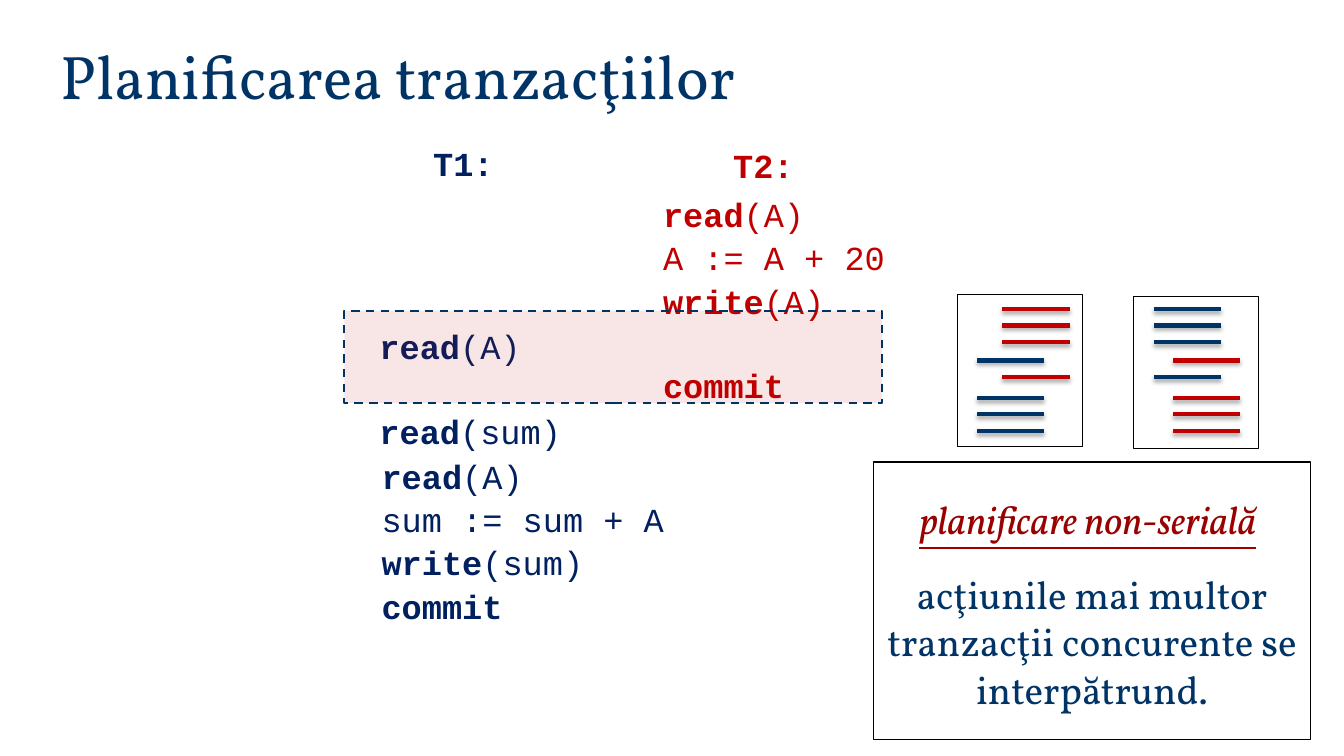
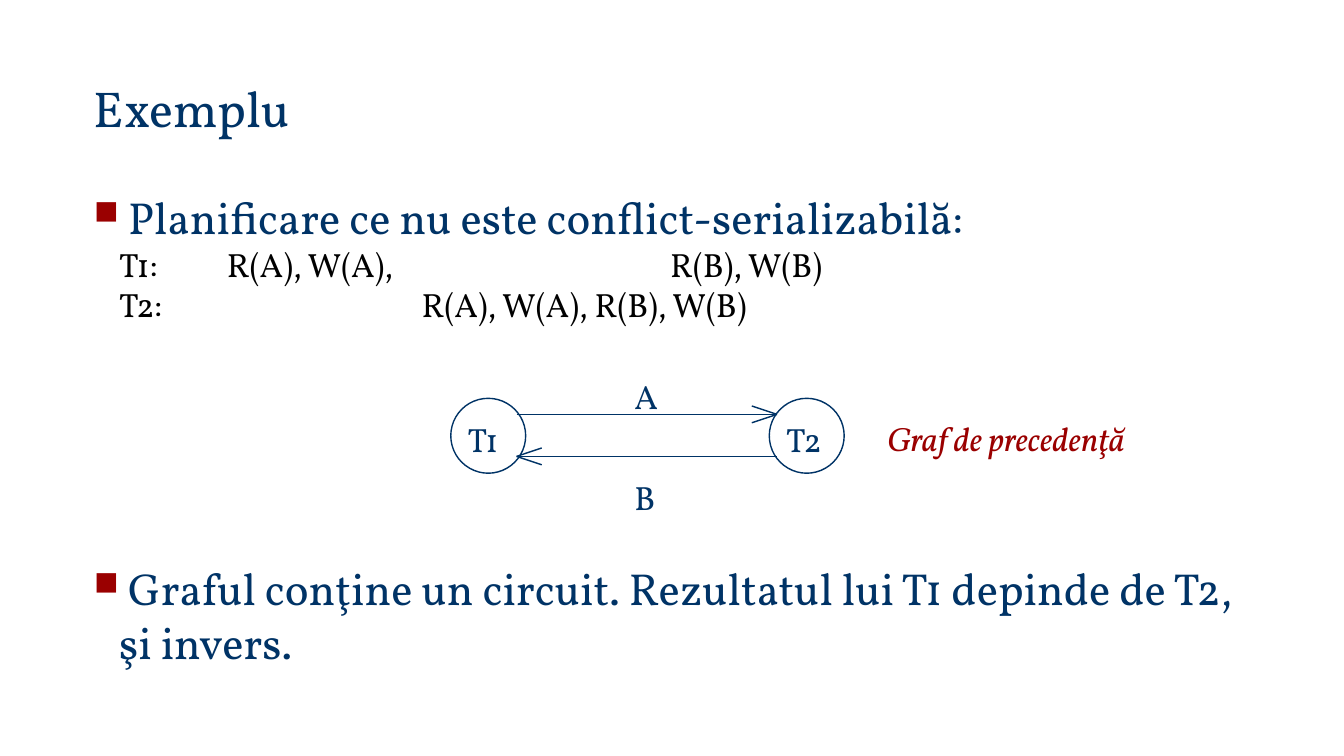
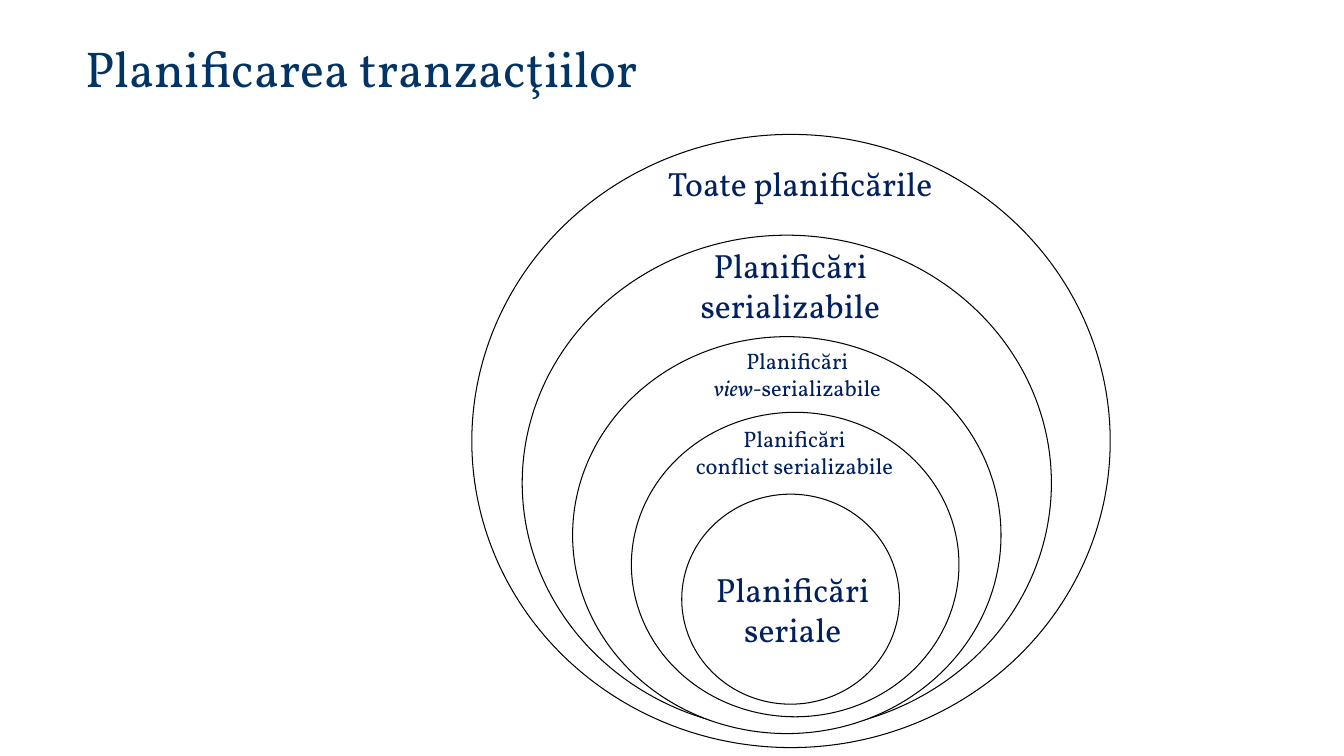
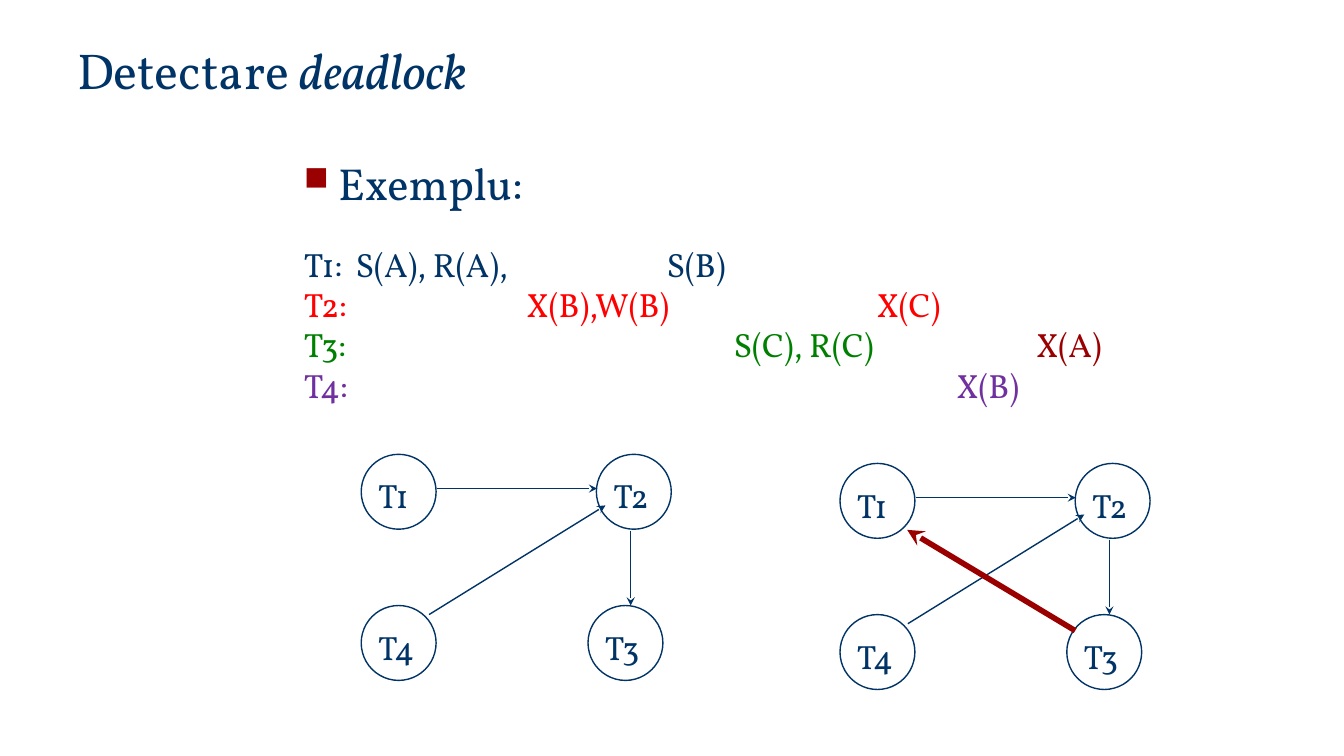
from dataclasses import dataclass
from lxml import etree
from pptx import Presentation
from pptx.dml.color import RGBColor
from pptx.enum import dml, shapes, text
from pptx.oxml import ns
from pptx.util import Pt


@dataclass(frozen=True)
class Theme:
    serif: str = "Vollkorn"
    mono: str = "Courier New"
    blue: str = "003366"
    navy: str = "002060"
    crimson: str = "C00000"
    maroon: str = "9A0000"
    red: str = "FF0000"
    green: str = "008000"
    purple: str = "7030A0"
    black: str = "000000"
    white: str = "FFFFFF"
    big_title: float = 44
    title: float = 36
    body: float = 32
    callout: float = 28
    label: float = 24
    small: float = 16


T = Theme()
CENTER = text.PP_ALIGN.CENTER
RECT = shapes.MSO_SHAPE.RECTANGLE
OVAL = shapes.MSO_SHAPE.OVAL
NODE = 53.5


def rgb(value):
    return RGBColor.from_string(value)


def sub(parent, tag, **attrs):
    return etree.SubElement(parent, ns.qn(tag), {k: str(v) for k, v in attrs.items()})


def add_run(p, value, size=T.label, color=T.blue, font=T.serif,
            bold=None, italic=None, underline=None):
    r = p.add_run()
    r.text = value
    f = r.font
    f.size, f.name, f.color.rgb = Pt(size), font, rgb(color)
    f.bold, f.italic, f.underline = bold, italic, underline


def next_paragraph(tf, align=None, before=0):
    p = tf.paragraphs[0]
    if p.runs:
        p = tf.add_paragraph()
    p.alignment = align
    p.space_before = Pt(before)
    return p


def add_bullet(tf, value, before=0):
    p = next_paragraph(tf, before=before)
    pPr = p._p.get_or_add_pPr()
    pPr.set("marL", str(Pt(18)))
    pPr.set("indent", str(Pt(-18)))
    sub(sub(pPr, "a:buClr"), "a:srgbClr", val=T.maroon)
    sub(pPr, "a:buSzPct", val=75000)
    sub(pPr, "a:buChar", char="■")
    add_run(p, value, T.body)


def add_schedule_row(tf, stops, *runs, before=0):
    p = next_paragraph(tf, before=before)
    tabs = sub(p._p.get_or_add_pPr(), "a:tabLst")
    for stop in stops:
        sub(tabs, "a:tab", pos=Pt(stop), algn="l")
    for value, color in runs:
        add_run(p, value, color=color)


def add_text_box(s, x, y, w, h, wrap=True):
    tf = s.shapes.add_textbox(Pt(x), Pt(y), Pt(w), Pt(h)).text_frame
    tf.word_wrap = wrap
    return tf


def add_label(s, x, y, w, h, *lines, align=None, **style):
    tf = add_text_box(s, x, y, w, h, wrap=False)
    for line in lines:
        add_run(next_paragraph(tf, align), line, **style)
    return tf


def add_title(s, x, y, w, h, *runs, size=T.title):
    tf = add_text_box(s, x, y, w, h)
    tf.vertical_anchor = text.MSO_ANCHOR.BOTTOM
    for value, italic in runs:
        add_run(tf.paragraphs[0], value, size, italic=italic)


def add_outline(s, kind, x, y, w, h, color=T.black, width=0.75, fill=None):
    sp = s.shapes.add_shape(kind, Pt(x), Pt(y), Pt(w), Pt(h))
    sp.shadow.inherit = False
    sp.line.color.rgb = rgb(color)
    sp.line.width = Pt(width)
    if fill:
        sp.fill.solid()
        sp.fill.fore_color.rgb = rgb(fill)
    else:
        sp.fill.background()
    return sp


def add_line(s, start, end, color=T.blue, width=1, arrow=False, shadow=False):
    c = s.shapes.add_connector(shapes.MSO_CONNECTOR.STRAIGHT,
                               *(Pt(v) for v in (*start, *end)))
    c.line.color.rgb = rgb(color)
    c.line.width = Pt(width)
    if arrow:
        sub(c.line._get_or_add_ln(), "a:tailEnd", type="stealth")
    effects = sub(c._element.spPr, "a:effectLst")
    if shadow:
        outer = sub(effects, "a:outerShdw", blurRad=Pt(3.1), dist=Pt(1.8),
                    dir=5400000, rotWithShape=0)
        sub(sub(outer, "a:srgbClr", val=T.black), "a:alpha", val=35000)


def add_code(s, x, y, w, h, color, *lines, align=None):
    tf = add_text_box(s, x, y, w, h)
    for keyword, rest, before in lines:
        p = next_paragraph(tf, align, before)
        if keyword:
            add_run(p, keyword, color=color, font=T.mono, bold=True)
        if rest:
            add_run(p, rest, color=color, font=T.mono)


def add_interleaving(s, x, y, order, lanes):
    add_outline(s, RECT, x, y, 89.5, 109, width=0.5, fill=T.white)
    rows = (221, 232.5, 244.5, 257.5, 269.5, 284.5, 296, 308)
    for who, row in zip(order, rows):
        left = lanes[who]
        add_line(s, (left, row), (left + 48, row),
                 T.blue if who == "1" else T.crimson, 3, shadow=True)


def add_node(s, x, y, name):
    add_outline(s, OVAL, x, y, NODE, NODE, T.blue, 1)
    add_label(s, x + 5, y + 11.5, 42, 36, name)


def add_open_arrow(s, start, tip):
    add_line(s, start, tip)
    back = -18 if tip[0] > start[0] else 18
    for spread in (-6, 6):
        add_line(s, (tip[0] + back, tip[1] + spread), tip)


def add_wait_graph(s, x, y, deadlock=False):
    for dx, dy, name in ((0, 0, "T1"), (168, 0, "T2"), (0, 108, "T4"), (162, 108, "T3")):
        add_node(s, x + dx, y + dy, name)
    waits = [(54, 24.5, 168.5, 24.5), (192.5, 54.5, 192.5, 108), (48.5, 114.5, 174.5, 36.5)]
    for x1, y1, x2, y2 in waits:
        add_line(s, (x + x1, y + y1), (x + x2, y + y2), arrow=True)
    if deadlock:
        add_line(s, (x + 168, y + 119.5), (x + 48, y + 47.5), T.maroon, 4, arrow=True)


def build_interleaved_schedule(s):
    callout = add_outline(s, RECT, 624, 330, 312, 198)
    tf = callout.text_frame
    tf.word_wrap = True
    tf.vertical_anchor = text.MSO_ANCHOR.TOP
    tf.margin_top = Pt(24)
    p = next_paragraph(tf, CENTER)
    add_run(p, "planificare non-serială", T.callout, T.maroon, italic=True, underline=True)
    add_run(p, " ", T.callout)
    add_run(next_paragraph(tf, CENTER, 20),
            "acţiunile mai multor tranzacţii concurente se interpătrund.", T.callout)

    add_code(s, 216, 98.5, 230, 36, T.navy, ("T1:", "", 0), align=CENTER)
    add_code(s, 457, 100, 176.5, 36, T.crimson, ("T2:", "", 0), align=CENTER)
    add_code(s, 264, 229.5, 230, 92, T.navy,
             ("read", "(A)", 0), ("read", "(sum)", 31.4))
    add_code(s, 466.5, 135, 176.5, 155, T.crimson,
             ("read", "(A)", 0), ("", "A := A + 20", 2.1),
             ("write", "(A)", 2.1), ("commit", "", 31.4))
    add_code(s, 265.5, 322, 230, 124, T.navy,
             ("read", "(A)", 0), ("", "sum := sum + A", 2.1),
             ("write", "(sum)", 2.1), ("commit", "", 2.1))

    overlap = add_outline(s, RECT, 246, 222, 384, 66, T.blue, 1.5, T.crimson)
    overlap.line.dash_style = dml.MSO_LINE.DASH
    tint = overlap._element.spPr.find(ns.qn("a:solidFill"))[0]
    sub(tint, "a:alpha", val=10000)

    add_interleaving(s, 684, 210, "22212111", {"1": 698, "2": 716})
    add_interleaving(s, 809.5, 211.5, "11121222", {"1": 824, "2": 838})
    add_title(s, 36, 23, 798, 60.5, ("Planificarea tranzacţiilor", None), size=T.big_title)


def build_precedence_graph(s):
    add_title(s, 60, 51, 780, 51, ("Exemplu", None))
    tf = add_text_box(s, 60, 132, 840, 360)
    add_bullet(tf, " Planificare ce nu este conflict-serializabilă:")
    add_schedule_row(tf, (18, 95, 411.5), ("\tT1:\tR(A), W(A),\tR(B), W(B)", T.black))
    add_schedule_row(tf, (18, 234), ("\tT2:\tR(A), W(A), R(B), W(B)", T.black))
    add_bullet(tf, " Graful conţine un circuit. Rezultatul lui T1 depinde de T2, şi invers.", 169)
    add_node(s, 322, 284.5, "T1")
    add_node(s, 549.5, 284.5, "T2")
    add_open_arrow(s, (369, 296), (555, 296))
    add_open_arrow(s, (555, 326), (369, 326))
    add_label(s, 446, 265, 33, 36, "A")
    add_label(s, 446, 337, 29, 36, "B")
    add_label(s, 626.5, 295, 203, 36, "Graf de precedenţă", color=T.maroon, italic=True)


def build_schedule_classes(s):
    add_title(s, 54, 22.5, 786, 51, ("Planificarea tranzacţiilor", None))
    for ring in ((337, 96, 456, 438), (373, 168, 378, 354), (409, 240.5, 306, 283.5),
                 (451, 294.5, 234, 217.5), (487, 353, 155.5, 150)):
        add_outline(s, OVAL, *ring, fill=T.white)
    large = dict(color=T.navy, align=CENTER)
    small = dict(large, size=T.small)
    add_label(s, 493, 171.5, 143, 65.5, "Planificări", "serializabile", **large)
    add_label(s, 463, 113, 217, 36, "Toate planificările", **large)
    add_label(s, 489.5, 300, 156, 46, "Planificări", "conflict serializabile", **small)
    add_label(s, 504, 402.5, 124.5, 65.5, "Planificări", "seriale", **large)
    tf = add_label(s, 502, 244.5, 135, 46, "Planificări", **small)
    p = next_paragraph(tf, CENTER)
    add_run(p, "view-", T.small, T.navy, italic=True)
    add_run(p, "serializabile", T.small, T.navy)


def build_deadlock_detection(s):
    add_title(s, 48, 24, 792, 51, ("Detectare ", None), ("deadlock", True))
    add_wait_graph(s, 258, 324.5)
    add_wait_graph(s, 600, 331, deadlock=True)
    tf = add_text_box(s, 210, 108, 672, 396)
    add_bullet(tf, " Exemplu:")
    add_schedule_row(tf, (37, 259), ("T1:\tS(A), R(A),\tS(B)", T.blue), before=24)
    add_schedule_row(tf, (159, 409), ("T2:\tX(B),W(B)\tX(C)", T.red))
    add_schedule_row(tf, (307, 523), ("T3:\tS(C), R(C)\t", T.green), ("X(A)", T.maroon))
    add_schedule_row(tf, (466,), ("T4:\tX(B)", T.purple))


def main():
    prs = Presentation()
    prs.slide_width, prs.slide_height = Pt(960), Pt(540)
    for build in (build_interleaved_schedule, build_precedence_graph,
                  build_schedule_classes, build_deadlock_detection):
        build(prs.slides.add_slide(prs.slide_layouts[6]))
    prs.save("out.pptx")


if __name__ == "__main__":
    main()
